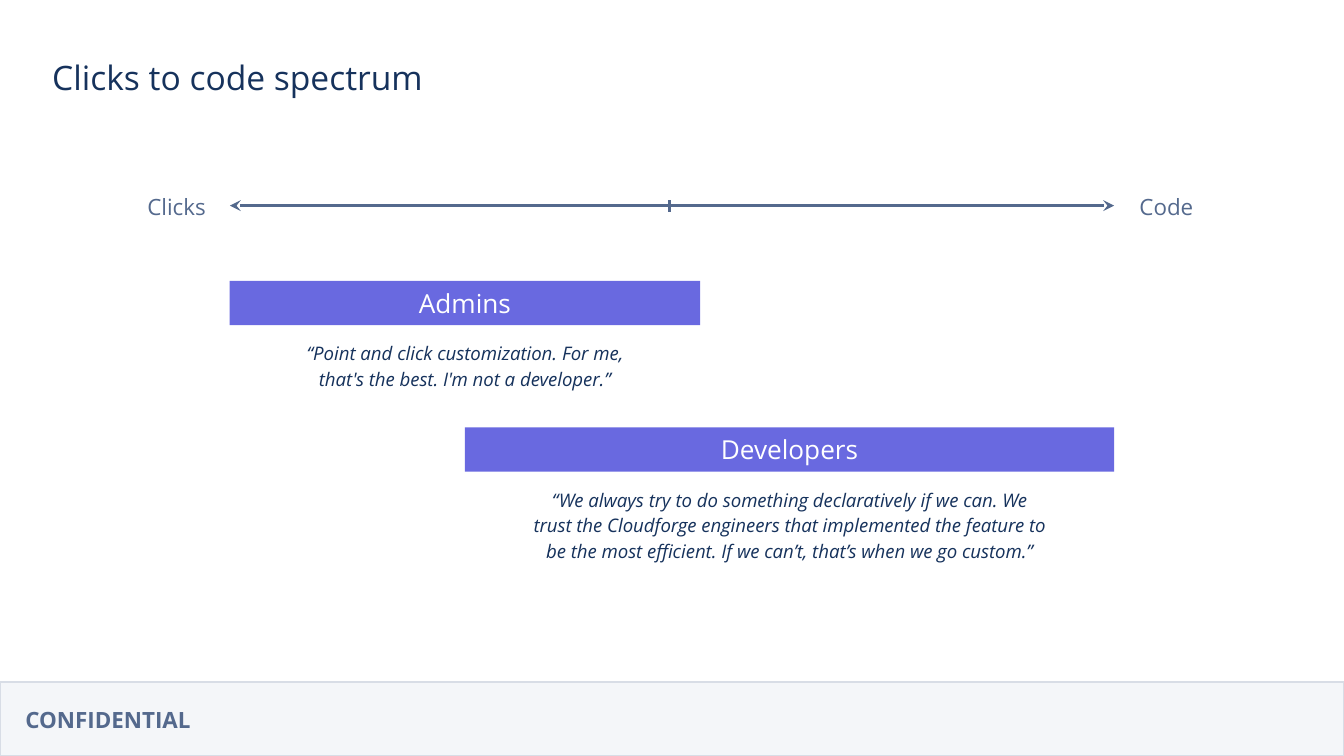
"""Build a slide that places admins and developers on a clicks to code spectrum."""
from lxml import etree
from pptx import Presentation
from pptx.dml.color import RGBColor
from pptx.enum.shapes import MSO_CONNECTOR, MSO_SHAPE
from pptx.enum.text import MSO_ANCHOR, PP_ALIGN
from pptx.oxml.ns import qn
from pptx.util import Inches, Pt

RECTANGLE = MSO_SHAPE.RECTANGLE
STRAIGHT = MSO_CONNECTOR.STRAIGHT
TOP, MIDDLE = MSO_ANCHOR.TOP, MSO_ANCHOR.MIDDLE
LEFT, CENTER, RIGHT = PP_ALIGN.LEFT, PP_ALIGN.CENTER, PP_ALIGN.RIGHT

FONT = "Open Sans"
NAVY = RGBColor(0x16, 0x32, 0x5C)
SLATE = RGBColor(0x54, 0x69, 0x8D)
VIOLET = RGBColor(0x69, 0x69, 0xE0)
WHITE = RGBColor(0xFF, 0xFF, 0xFF)
FOOTER_FILL = RGBColor(0xF4, 0xF6, 0xF9)
FOOTER_LINE = RGBColor(0xD8, 0xDD, 0xE6)

WIDTH = 10
HEIGHT = WIDTH * 9 / 16
FOOTER_HEIGHT = 0.55
AXIS_LEFT, AXIS_RIGHT, AXIS_Y = 1.71, 8.29, 1.53
TICK_X, TICK_TOP, TICK_BOTTOM = 4.98, 1.49, 1.58
BAR_HEIGHT = 0.33

TITLE = "Clicks to code spectrum"
FOOTER = "CONFIDENTIAL"
END_LABELS = [
    ("Code", (8.38, 1.37, 1.3, 0.33), LEFT),
    ("Clicks", (0.29, 1.37, 1.34, 0.33), RIGHT),
]
ROLES = [
    {
        "name": "Admins", "left": AXIS_LEFT, "right": 5.21, "top": 2.09,
        "quote": "“Point and click customization. For me, that's the best. "
                 "I'm not a developer.”",
        "quote_size": (2.57, 0.55),
    },
    {
        "name": "Developers", "left": 3.46, "right": AXIS_RIGHT, "top": 3.18,
        "quote": "“We always try to do something declaratively if we can. We trust "
                 "the Cloudforge engineers that implemented the feature to be the "
                 "most efficient. If we can’t, that’s when we go custom.”",
        "quote_size": (4.03, 0.73),
    },
]


def write(shape, text, size, color, align=LEFT, anchor=MIDDLE, spacing=None,
          bold=False, italic=False):
    frame = shape.text_frame
    frame.word_wrap = True
    frame.vertical_anchor = anchor
    frame.margin_left = frame.margin_right = Inches(0.1)
    frame.margin_top = frame.margin_bottom = Inches(0.1)
    paragraph = frame.paragraphs[0]
    paragraph.text = text
    paragraph.alignment = align
    if spacing:
        paragraph.line_spacing = spacing
    font = paragraph.font
    font.name, font.size, font.color.rgb = FONT, Pt(size), color
    font.bold, font.italic = bold, italic


def add_text(slide, box, *args, **style):
    write(slide.shapes.add_textbox(*map(Inches, box)), *args, **style)


def add_rectangle(slide, box, fill, line=None):
    shape = slide.shapes.add_shape(RECTANGLE, *map(Inches, box))
    shape.shadow.inherit = False
    shape.fill.solid()
    shape.fill.fore_color.rgb = fill
    if line:
        shape.line.color.rgb = line
        shape.line.width = Pt(0.75)
    else:
        shape.line.fill.background()
    return shape


def add_line(slide, *ends, arrows=False):
    connector = slide.shapes.add_connector(STRAIGHT, *map(Inches, ends))
    connector.line.color.rgb = SLATE
    connector.line.width = Pt(1.5)
    properties = connector.element.spPr
    etree.SubElement(properties, qn("a:effectLst"))
    if arrows:
        for tag in ("a:headEnd", "a:tailEnd"):
            etree.SubElement(properties.find(qn("a:ln")), qn(tag), type="stealth")


def add_role(slide, role):
    left, top = role["left"], role["top"]
    width = role["right"] - left
    bar = add_rectangle(slide, (left, top, width, BAR_HEIGHT), VIOLET)
    write(bar, role["name"], 14, WHITE, CENTER)
    quote_width, quote_height = role["quote_size"]
    quote_left = left + (width - quote_width) / 2
    add_text(slide, (quote_left, top + BAR_HEIGHT, quote_width, quote_height),
             role["quote"], 10, NAVY, CENTER, TOP, 1.15, italic=True)


def main():
    presentation = Presentation()
    presentation.slide_width = Inches(WIDTH)
    presentation.slide_height = Inches(HEIGHT)
    slide = presentation.slides.add_slide(presentation.slide_layouts[6])

    footer_box = (0, HEIGHT - FOOTER_HEIGHT, WIDTH, FOOTER_HEIGHT)
    add_rectangle(slide, footer_box, FOOTER_FILL, FOOTER_LINE)
    add_text(slide, (0.09, 5.15, 1.79, 0.41), FOOTER, 12, SLATE, bold=True)
    add_text(slide, (0.29, 0.28, 9.38, 0.55), TITLE, 18, NAVY,
             anchor=TOP, spacing=1.15)

    for label, box, align in END_LABELS:
        add_text(slide, box, label, 12, SLATE, align)
    add_line(slide, AXIS_LEFT, AXIS_Y, AXIS_RIGHT, AXIS_Y, arrows=True)
    add_line(slide, TICK_X, TICK_TOP, TICK_X, TICK_BOTTOM)

    for role in ROLES:
        add_role(slide, role)
    presentation.save("out.pptx")


if __name__ == "__main__":
    main()
